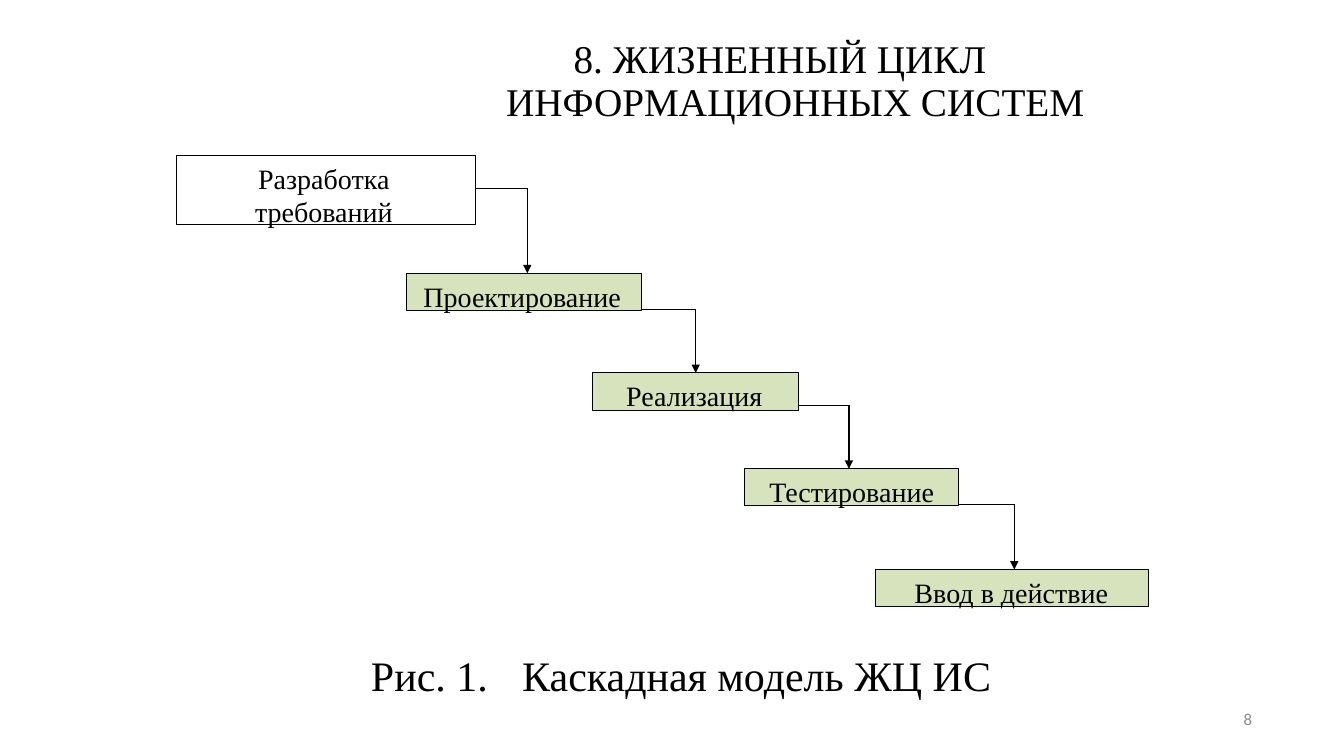
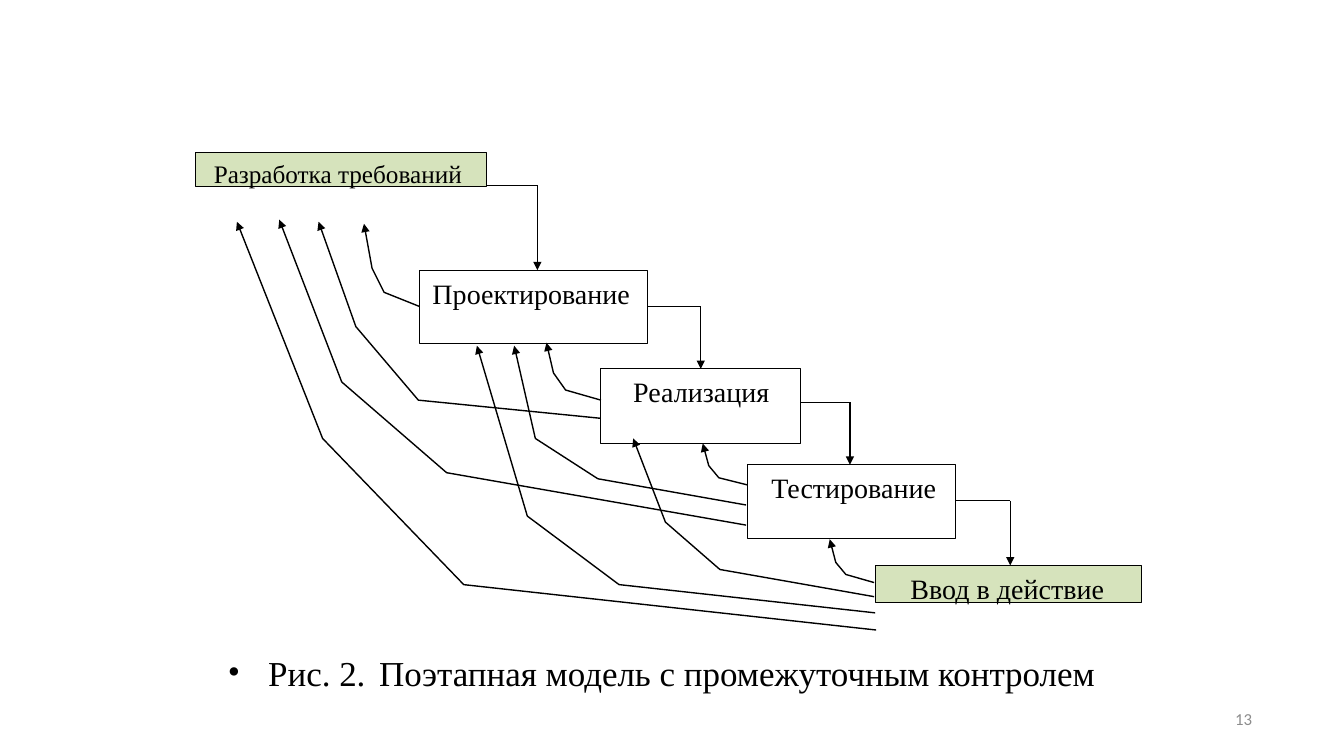
from dataclasses import dataclass
from itertools import pairwise

from lxml import etree
from pptx import Presentation
from pptx.dml.color import RGBColor
from pptx.enum.shapes import MSO_CONNECTOR, MSO_SHAPE
from pptx.enum.text import MSO_ANCHOR, MSO_AUTO_SIZE, PP_ALIGN
from pptx.oxml.ns import qn
from pptx.util import Inches, Pt

STRAIGHT = MSO_CONNECTOR.STRAIGHT
RECTANGLE = MSO_SHAPE.RECTANGLE
TOP, MIDDLE = MSO_ANCHOR.TOP, MSO_ANCHOR.MIDDLE
LEFT, RIGHT = PP_ALIGN.LEFT, PP_ALIGN.RIGHT

SERIF, SANS = "Times New Roman", "Calibri"
BLACK, WHITE, GREEN, GREY = "000000", "FFFFFF", "D6E3BC", "8C8C8C"
BOX_LINE, ARROW_LINE = 0.72, 1
TITLE_ONLY, BLANK = 5, 6

Point = tuple[float, float]


@dataclass(frozen=True)
class Stage:
    """A box; its outgoing step leaves `drop` below the top and turns after `run`."""
    label: str
    left: float
    top: float
    width: float
    height: float
    indent: float
    fill: str = WHITE
    size: float = 20
    hanging: float = 0
    drop: float = 0
    run: float = 0


@dataclass(frozen=True)
class Caption:
    text: str
    left: float
    top: float
    width: float
    height: float
    size: float
    tab: float
    indent: float = 0.01
    bullet: bool = False


CASCADE = [
    Stage("Разработка требований", 1.75, 1.54, 2.97, 0.69, 0.78, hanging=0.03, drop=0.33, run=0.51),
    Stage("Проектирование", 4.03, 2.71, 2.33, 0.37, 0.17, GREEN, drop=0.36, run=0.54),
    Stage("Реализация", 5.88, 3.7, 2.04, 0.37, 0.33, GREEN, drop=0.32, run=0.5),
    Stage("Тестирование", 7.38, 4.65, 2.13, 0.37, 0.25, GREEN, drop=0.35, run=0.55),
    Stage("Ввод в действие", 8.68, 5.65, 2.71, 0.37, 0.39, GREEN),
]
CASCADE_CAPTION = Caption("Рис. 1.\tКаскадная модель ЖЦ ИС", 3.67, 6.43, 6.17, 0.52, 30, 1.34)

STAGED = [
    Stage("Разработка требований", 1.94, 1.51, 2.89, 0.34, 0.18, GREEN, 18, drop=0.33, run=0.5),
    Stage("Проектирование", 4.16, 2.68, 2.26, 0.73, 0.13, drop=0.36, run=0.53),
    Stage("Реализация", 5.96, 3.66, 1.98, 0.74, 0.32, drop=0.33, run=0.49),
    Stage("Тестирование", 7.41, 4.61, 2.07, 0.73, 0.24, drop=0.36, run=0.54),
    Stage("Ввод в действие", 8.68, 5.61, 2.64, 0.37, 0.35, GREEN),
]
STAGED_CAPTION = Caption("Рис. 2.\tПоэтапная модель с промежуточным контролем",
                         2.25, 6.45, 8.71, 0.44, 25, 1.51, 0.41, True)

FEEDBACK: list[list[Point]] = [
    # back to requirements
    [(4.16, 3.04), (3.81, 2.9), (3.69, 2.66), (3.61, 2.22)],
    [(5.96, 4.15), (4.15, 3.97), (3.53, 3.24), (3.16, 2.2)],
    [(7.4, 5.21), (4.43, 4.69), (3.39, 3.79), (2.77, 2.18)],
    [(8.69, 6.25), (4.6, 5.8), (3.2, 4.35), (2.35, 2.2)],
    # back to design
    [(5.96, 3.97), (5.61, 3.87), (5.49, 3.7), (5.42, 3.4)],
    [(7.4, 5.01), (5.93, 4.75), (5.31, 4.35), (5.1, 3.43)],
    [(8.68, 6.08), (6.14, 5.8), (5.23, 5.12), (4.73, 3.43)],
    # back to implementation
    [(7.41, 4.81), (7.13, 4.74), (7.03, 4.62), (6.97, 4.4)],
    [(8.67, 5.92), (7.14, 5.65), (6.6, 5.18), (6.28, 4.35)],
    # back to testing
    [(8.67, 5.78), (8.39, 5.7), (8.29, 5.58), (8.23, 5.35)],
]


def color(value: str) -> RGBColor:
    return RGBColor.from_string(value)


def set_line(shape, width: float, arrow: bool = False) -> None:
    shape.line.color.rgb = color(BLACK)
    shape.line.width = Pt(width)
    if arrow:
        line = shape.line._get_or_add_ln()
        etree.SubElement(line, qn("a:tailEnd"), type="triangle")


def prepare_frame(shape, top_inset: float = 0.01, anchor=TOP):
    frame = shape.text_frame
    frame.word_wrap = True
    frame.auto_size = MSO_AUTO_SIZE.NONE
    frame.vertical_anchor = anchor
    frame.margin_left = frame.margin_right = frame.margin_bottom = 0
    frame.margin_top = Inches(top_inset)
    return frame


def write(para, text: str, size: float, font: str = SERIF, ink: str = BLACK,
          indent: float = 0, first: float = 0, align=LEFT) -> None:
    """Add one run; `first` shifts the first line relative to `indent`."""
    para.alignment = align
    properties = para._p.get_or_add_pPr()
    properties.set("marL", str(Inches(indent)))
    properties.set("indent", str(Inches(first)))
    span = para.add_run()
    span.text = text
    span.font.name = font
    span.font.size = Pt(size)
    span.font.color.rgb = color(ink)


def add_text_box(page, left: float, top: float, width: float, height: float):
    return page.shapes.add_textbox(Inches(left), Inches(top), Inches(width), Inches(height))


def add_title(page, lines: list[tuple[str, float]]) -> None:
    title = page.shapes.title
    title.left, title.top = Inches(4.98), Inches(0.38)
    title.width, title.height = Inches(6.72), Inches(0.86)
    frame = prepare_frame(title, anchor=MIDDLE)
    for number, (text, indent) in enumerate(lines):
        para = frame.add_paragraph() if number else frame.paragraphs[0]
        write(para, text, 28, indent=indent)
        para.line_spacing = 0.9
        para.space_before = Pt(0.5)


def add_caption(page, caption: Caption) -> None:
    box = add_text_box(page, caption.left, caption.top, caption.width, caption.height)
    para = prepare_frame(box).paragraphs[0]
    write(para, caption.text, caption.size, indent=caption.indent,
          first=-0.4 if caption.bullet else 0)
    para.space_before = Pt(1)
    properties = para._p.get_or_add_pPr()
    if caption.bullet:
        etree.SubElement(properties, qn("a:buFont"), typeface=SERIF)
        etree.SubElement(properties, qn("a:buChar"), char="•")
    tabs = etree.SubElement(properties, qn("a:tabLst"))
    etree.SubElement(tabs, qn("a:tab"), pos=str(Inches(caption.tab)), algn="l")


def add_page_number(page, number: int) -> None:
    box = add_text_box(page, 9.42, 6.95, 3, 0.4)
    para = prepare_frame(box, 0, MIDDLE).paragraphs[0]
    write(para, str(number), 12, SANS, GREY, align=RIGHT)
    para.line_spacing = Pt(12.4)


def add_stage(page, stage: Stage) -> None:
    box = page.shapes.add_shape(RECTANGLE, Inches(stage.left), Inches(stage.top),
                                Inches(stage.width), Inches(stage.height))
    box.shadow.inherit = False
    box.fill.solid()
    box.fill.fore_color.rgb = color(stage.fill)
    set_line(box, BOX_LINE)
    frame = prepare_frame(box, 0.06)
    write(frame.paragraphs[0], stage.label, stage.size,
          indent=stage.indent, first=stage.hanging)


def add_straight(page, start: Point, end: Point, width: float, arrow: bool = False) -> None:
    line = page.shapes.add_connector(STRAIGHT, *map(Inches, start + end))
    set_line(line, width, arrow)
    etree.SubElement(line._element.spPr, qn("a:effectLst"))


def add_step(page, stage: Stage, following: Stage) -> None:
    """Lead from the right side of a stage down onto the following one."""
    right, level = stage.left + stage.width, stage.top + stage.drop
    corner = (right + stage.run, level)
    add_straight(page, (right, level), corner, BOX_LINE)
    add_straight(page, corner, (corner[0], following.top), ARROW_LINE, arrow=True)


def add_feedback(page, points: list[Point]) -> None:
    start, *rest = [(Inches(x), Inches(y)) for x, y in points]
    builder = page.shapes.build_freeform(*start)
    builder.add_line_segments(rest, close=False)
    route = builder.convert_to_shape()
    route.shadow.inherit = False
    route.fill.background()
    set_line(route, ARROW_LINE, arrow=True)


def add_model(page, stages: list[Stage], caption: Caption, number: int) -> None:
    add_caption(page, caption)
    add_page_number(page, number)
    for stage in stages:
        add_stage(page, stage)
    for stage, following in pairwise(stages):
        add_step(page, stage, following)


def main() -> None:
    deck = Presentation()
    deck.slide_width, deck.slide_height = Inches(13.33), Inches(7.5)

    cascade = deck.slides.add_slide(deck.slide_layouts[TITLE_ONLY])
    add_title(cascade, [("8. ЖИЗНЕННЫЙ ЦИКЛ", 0.71), ("ИНФОРМАЦИОННЫХ СИСТЕМ", 0.04)])
    add_model(cascade, CASCADE, CASCADE_CAPTION, 8)

    staged = deck.slides.add_slide(deck.slide_layouts[BLANK])
    add_model(staged, STAGED, STAGED_CAPTION, 13)
    for points in FEEDBACK:
        add_feedback(staged, points)

    deck.save("out.pptx")


if __name__ == "__main__":
    main()
